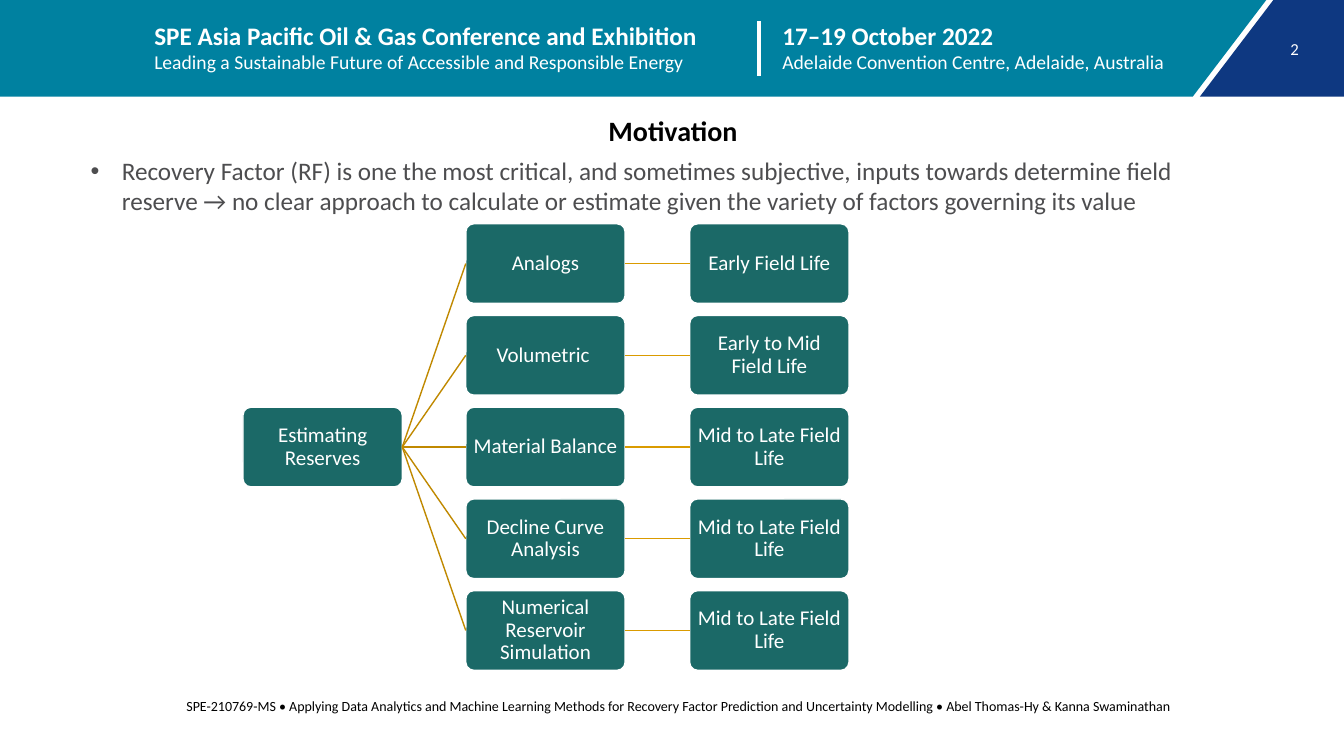
from lxml.etree import SubElement
from pptx import Presentation
from pptx.dml.color import RGBColor
from pptx.enum.shapes import MSO_CONNECTOR, MSO_SHAPE
from pptx.enum.text import MSO_ANCHOR, MSO_AUTO_SIZE, PP_ALIGN
from pptx.oxml.ns import qn
from pptx.util import Inches, Pt

WHITE = "FFFFFF"
BRANCH_GOLD = "C08900"
STAGE_GOLD = "DA9B00"
BOX_WIDTH, BOX_HEIGHT = 1.58, 0.79
ROOT_LEFT, METHOD_LEFT, STAGE_LEFT = 2.41, 4.62, 6.84
FIRST_TOP, ROW_STEP = 2.22, 0.91
METHODS = [
    ("Analogs", "Early Field Life"),
    ("Volumetric ", "Early to Mid Field Life"),
    ("Material Balance", "Mid to Late Field Life"),
    ("Decline Curve Analysis", "Mid to Late Field Life"),
    ("Numerical Reservoir Simulation", "Mid to Late Field Life"),
]


def colour(value):
    return RGBColor.from_string(value)


def style(paragraph, size, ink, bold=False, align=PP_ALIGN.LEFT):
    paragraph.alignment = align
    for run in paragraph.runs:
        run.font.name = "Calibri"
        run.font.size = Pt(size)
        run.font.bold = bold
        run.font.color.rgb = colour(ink)


def set_margins(frame, margin):
    frame.margin_left = frame.margin_right = Inches(margin)
    frame.margin_top = frame.margin_bottom = Inches(margin)


def add_text(slide, left, top, width, height, text, margin=None):
    frame = slide.shapes.add_textbox(
        Inches(left), Inches(top), Inches(width), Inches(height)).text_frame
    frame.word_wrap = True
    if margin is not None:
        set_margins(frame, margin)
    frame.text = text
    return frame


def add_panel(slide, points, fill):
    corners = [(Inches(x), Inches(y)) for x, y in points]
    builder = slide.shapes.build_freeform(*corners[0])
    builder.add_line_segments(corners[1:])
    panel = builder.convert_to_shape()
    panel.shadow.inherit = False
    panel.fill.solid()
    panel.fill.fore_color.rgb = colour(fill)
    panel.line.fill.background()


def add_line(slide, ink, width, start=(0, 0), end=(0, 0)):
    line = slide.shapes.add_connector(
        MSO_CONNECTOR.STRAIGHT, *[Inches(v) for v in (*start, *end)])
    line.line.color.rgb = colour(ink)
    line.line.width = Pt(width)
    SubElement(line._element.spPr, qn("a:effectLst"))
    return line


def link(slide, source, target, ink):
    line = add_line(slide, ink, 1)
    line.begin_connect(source, 3)
    line.end_connect(target, 1)


def add_box(slide, left, row, text):
    box = slide.shapes.add_shape(
        MSO_SHAPE.ROUNDED_RECTANGLE, Inches(left),
        Inches(FIRST_TOP + row * ROW_STEP), Inches(BOX_WIDTH), Inches(BOX_HEIGHT))
    box.adjustments[0] = 0.1
    box.shadow.inherit = False
    box.fill.solid()
    box.fill.fore_color.rgb = colour("1B6967")
    box.line.color.rgb = colour(WHITE)
    box.line.width = Pt(1)
    frame = box.text_frame
    frame.word_wrap = True
    frame.vertical_anchor = MSO_ANCHOR.MIDDLE
    set_margins(frame, 0.04)
    frame.text = text
    style(frame.paragraphs[0], 15, WHITE, align=PP_ALIGN.CENTER)
    frame.paragraphs[0].line_spacing = 0.9
    return box


def add_heading(slide, left, width, headline, detail):
    frame = add_text(slide, left, 0.2, width, 0.54, f"{headline}\n{detail}", 0)
    style(frame.paragraphs[0], 18, WHITE, bold=True)
    style(frame.paragraphs[1], 14, WHITE)


def add_banner(slide):
    add_panel(slide, [(12.63, 0), (13.33, 0), (13.33, 0.96), (11.9, 0.96)], "0E3881")
    add_panel(slide, [(0, 0), (12.56, 0), (11.83, 0.96), (0, 0.96)], "0081A0")
    number = add_text(slide, 12.74, 0.38, 0.2, 0.2, "2", 0)
    number.word_wrap = False
    number.vertical_anchor = MSO_ANCHOR.BOTTOM
    style(number.paragraphs[0], 12, WHITE, align=PP_ALIGN.CENTER)
    add_heading(slide, 7.76, 4.14, "17–19 October 2022",
                "Adelaide Convention Centre, Adelaide, Australia")
    add_line(slide, WHITE, 3, (7.53, 0.21), (7.53, 0.75))
    add_heading(slide, 1.53, 5.78,
                "SPE Asia Pacific Oil & Gas Conference and Exhibition",
                "Leading a Sustainable Future of Accessible and Responsible Energy")


def set_title(slide, text):
    title = slide.shapes.title
    title.left, title.top = Inches(2.09), Inches(1.08)
    title.width, title.height = Inches(9.17), Inches(0.44)
    frame = title.text_frame
    frame.text = text
    frame.auto_size = MSO_AUTO_SIZE.NONE
    frame.vertical_anchor = MSO_ANCHOR.TOP
    style(frame.paragraphs[0], 20, "000000", bold=True, align=PP_ALIGN.CENTER)


def add_bullet(slide, text):
    paragraph = add_text(slide, 0.8, 1.49, 11.65, 0.71, text).paragraphs[0]
    properties = paragraph._p.get_or_add_pPr()
    properties.set("marL", str(Inches(0.31)))
    properties.set("indent", str(-Inches(0.31)))
    SubElement(properties, qn("a:buFont"), typeface="Arial")
    SubElement(properties, qn("a:buChar"), char="•")
    style(paragraph, 18, "4D4D4F")


def add_tree(slide):
    root = add_box(slide, ROOT_LEFT, len(METHODS) // 2, "Estimating Reserves")
    for row, (method_name, stage_name) in enumerate(METHODS):
        method = add_box(slide, METHOD_LEFT, row, method_name)
        stage = add_box(slide, STAGE_LEFT, row, stage_name)
        link(slide, root, method, BRANCH_GOLD)
        link(slide, method, stage, STAGE_GOLD)


def main():
    deck = Presentation()
    deck.slide_width, deck.slide_height = Inches(13.33), Inches(7.5)
    slide = deck.slides.add_slide(deck.slide_layouts[5])
    add_banner(slide)
    set_title(slide, "Motivation")
    footer = add_text(
        slide, 1.67, 6.87, 10.11, 0.35,
        "SPE-210769-MS • Applying Data Analytics and Machine Learning Methods for "
        "Recovery Factor Prediction and Uncertainty Modelling • "
        "Abel Thomas-Hy & Kanna Swaminathan")
    style(footer.paragraphs[0], 10, "000000", align=PP_ALIGN.CENTER)
    add_tree(slide)
    add_bullet(
        slide,
        "Recovery Factor (RF) is one the most critical, and sometimes subjective, "
        "inputs towards determine field reserve → no clear approach to calculate "
        "or estimate given the variety of factors governing its value")
    deck.save("out.pptx")


if __name__ == "__main__":
    main()
